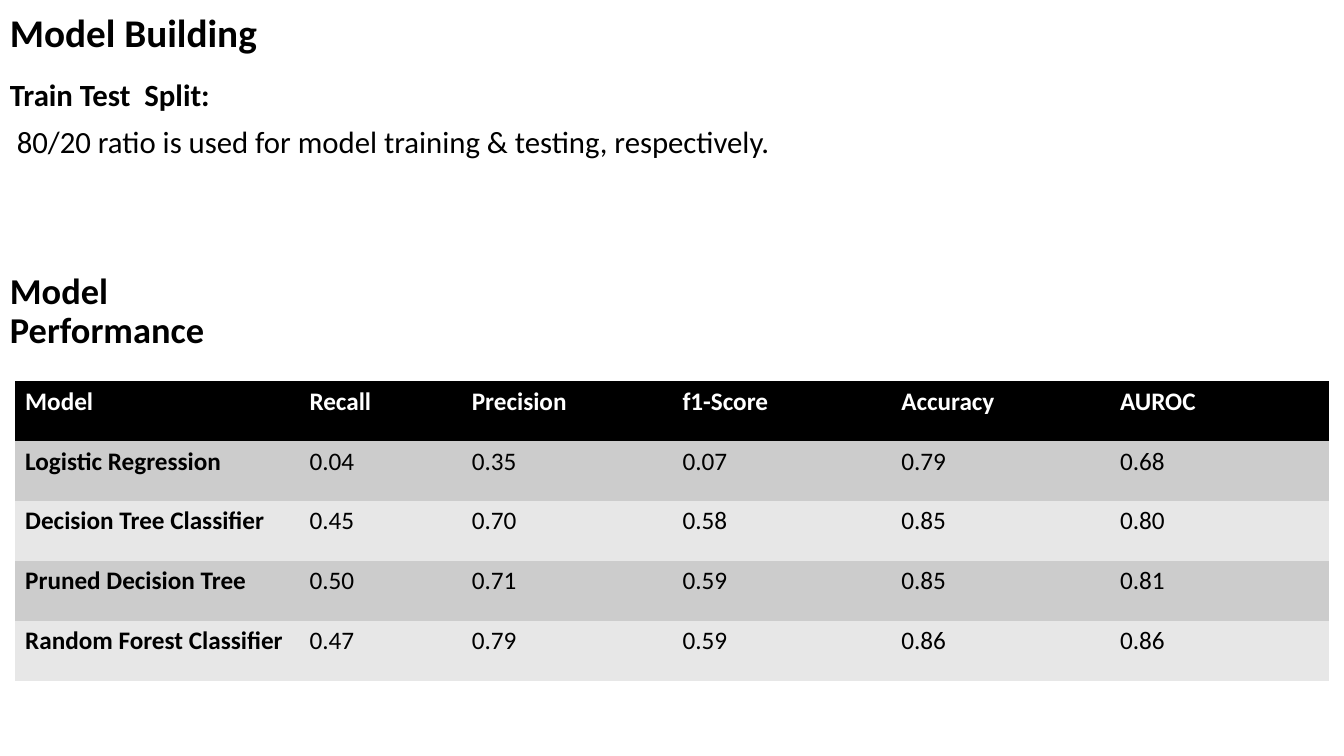
"""Build the model building and performance slide."""
from pptx import Presentation
from pptx.dml.color import RGBColor
from pptx.enum.text import MSO_ANCHOR
from pptx.util import Inches, Pt

FONT = "Calibri"
COLORS = {"text": "000000", "header": "000000", "header_text": "FFFFFF",
          "odd_row": "CCCCCC", "even_row": "E7E7E7"}
NO_GRID_STYLE = "{2D5ABB26-0587-4C30-8999-92F81FD0307C}"
COLUMN_WIDTHS = [2.82, 1.61, 2.09, 2.17, 2.17, 2.17]
ROW_HEIGHT = 0.595
SCORES = [
    ["Model", "Recall", "Precision", "f1-Score", "Accuracy", "AUROC"],
    ["Logistic Regression", "0.04", "0.35", "0.07", "0.79", "0.68"],
    ["Decision Tree Classifier", "0.45", "0.70", "0.58", "0.85", "0.80"],
    ["Pruned Decision Tree", "0.50", "0.71", "0.59", "0.85", "0.81"],
    ["Random Forest Classifier", "0.47", "0.79", "0.59", "0.86", "0.86"],
]


def style_paragraph(p, text, size, bold, color="text"):
    """Write text into a paragraph and set its font."""
    p.text = text
    p.font.name = FONT
    p.font.size = Pt(size)
    p.font.bold = bold
    p.font.color.rgb = RGBColor.from_string(COLORS[color])


def add_text(slide, box, lines, size, anchor=MSO_ANCHOR.TOP, space_before=0):
    """Add a wrapped text box holding (text, bold) lines."""
    tf = slide.shapes.add_textbox(*map(Inches, box)).text_frame
    tf.word_wrap = True
    tf.vertical_anchor = anchor
    for i, (text, bold) in enumerate(lines):
        p = tf.add_paragraph() if i else tf.paragraphs[0]
        style_paragraph(p, text, size, bold)
        p.line_spacing = 0.9
        p.space_before = Pt(space_before)


def add_heading(slide, top, text, size):
    """Add a bold section heading at the left edge."""
    add_text(slide, (0, top, 3.13, 0.74), [(text, True)], size, MSO_ANCHOR.MIDDLE)


def add_score_table(slide, left, top):
    """Add the table of model scores with banded rows."""
    table = slide.shapes.add_table(
        len(SCORES), len(COLUMN_WIDTHS), Inches(left), Inches(top),
        Inches(sum(COLUMN_WIDTHS)), Inches(ROW_HEIGHT * len(SCORES))).table
    table._tbl.tblPr[0].text = NO_GRID_STYLE
    for column, width in zip(table.columns, COLUMN_WIDTHS):
        column.width = Inches(width)
    for r, row in enumerate(SCORES):
        fill = "header" if r == 0 else "odd_row" if r % 2 else "even_row"
        for c, text in enumerate(row):
            cell = table.cell(r, c)
            cell.fill.solid()
            cell.fill.fore_color.rgb = RGBColor.from_string(COLORS[fill])
            style_paragraph(cell.text_frame.paragraphs[0], text, 18,
                            r == 0 or c == 0, "text" if r else "header_text")


def main():
    """Build and save the slide."""
    prs = Presentation()
    prs.slide_width, prs.slide_height = Inches(13.33), Inches(7.5)
    slide = prs.slides.add_slide(prs.slide_layouts[6])
    add_heading(slide, -0.02, "Model Building", 28)
    add_text(slide, (0, 0.74, 11.5, 1.05), [
        ("Train Test  Split:", True),
        (" 80/20 ratio is used for model training & testing, respectively.", False),
    ], 22, space_before=10)
    add_score_table(slide, 0.15, 3.78)
    add_heading(slide, 2.73, "Model Performance", 26)
    prs.save("out.pptx")


if __name__ == "__main__":
    main()
